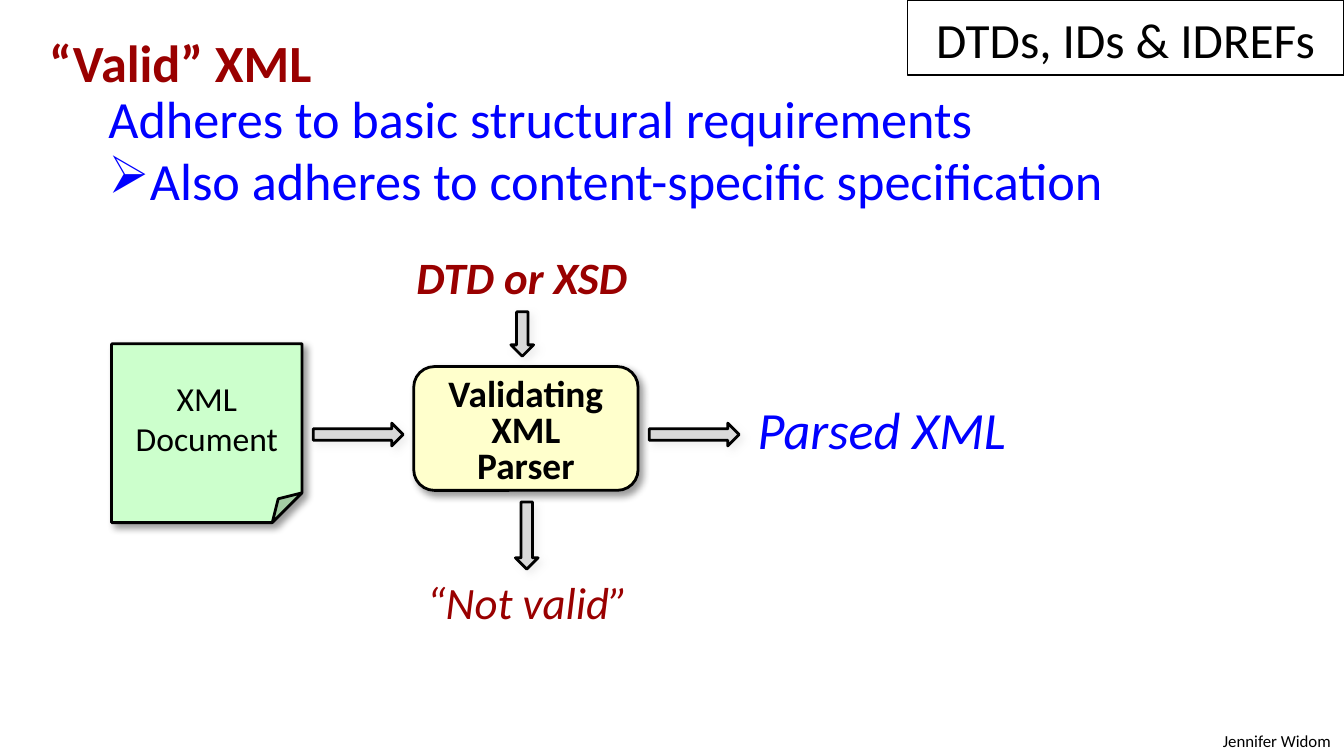
from lxml.etree import SubElement
from pptx import Presentation
from pptx.dml.color import RGBColor
from pptx.enum.shapes import MSO_SHAPE
from pptx.enum.text import MSO_ANCHOR, MSO_AUTO_SIZE, PP_ALIGN
from pptx.oxml.ns import qn
from pptx.util import Cm, Pt

FONT = "Calibri"
COLORS = {
    "black": "000000",
    "red": "990000",
    "blue": "0000FF",
    "green": "CCFFCC",
    "yellow": "FFFFCC",
    "gray": "D9D9D9",
}


def color(name):
    return RGBColor.from_string(COLORS[name])


def style(paragraph, size, ink="black", bold=False, italic=False, align=None, spacing=None):
    paragraph.alignment = align
    paragraph.line_spacing = spacing
    font = paragraph.font
    font.name, font.size = FONT, Pt(size)
    font.bold, font.italic = bold, italic
    font.color.rgb = color(ink)


def write(shape, lines, size, **options):
    frame = shape.text_frame
    frame.text = "\n".join(lines)
    for paragraph in frame.paragraphs:
        style(paragraph, size, **options)


def add_label(slide, box, text, size, **options):
    """Add a one-line text box that fits its text."""
    label = slide.shapes.add_textbox(*map(Cm, box))
    label.text_frame.word_wrap = False
    label.text_frame.auto_size = MSO_AUTO_SIZE.SHAPE_TO_FIT_TEXT
    write(label, [text], size, **options)


def add_shadow(shape, name):
    effects = shape._element.spPr.find(qn("a:effectLst"))
    shadow = SubElement(effects, qn("a:outerShdw"), blurRad=str(Pt(4)), dist=str(Pt(3)),
                        dir=str(45 * 60000), algn="tl", rotWithShape="0")
    tint = SubElement(shadow, qn("a:srgbClr"), val=COLORS[name])
    SubElement(tint, qn("a:alpha"), val="40000")


def add_block(slide, kind, box, fill=None, line_width=1.5, shadow=None):
    block = slide.shapes.add_shape(kind, *map(Cm, box))
    block.shadow.inherit = False
    if fill:
        block.fill.solid()
        block.fill.fore_color.rgb = color(fill)
    else:
        block.fill.background()
    block.line.color.rgb = color("black")
    block.line.width = Pt(line_width)
    if shadow:
        add_shadow(block, shadow)
    block.text_frame.word_wrap = True
    return block


def add_arrow(slide, left, top, length, rotation=0):
    arrow = add_block(slide, MSO_SHAPE.RIGHT_ARROW, (left, top, length, 0.43), "gray", shadow="gray")
    arrow.rotation = rotation


def add_points(slide, box):
    """Add the heading and its two indented points."""
    frame = slide.shapes.add_textbox(*map(Cm, box)).text_frame
    frame.word_wrap = True
    points = [
        ("“Valid” XML", 0, 0.76, "red"),
        ("Adheres to basic structural requirements", 1, 1.88, "blue"),
        ("Also adheres to content-specific specification", 1, 1.88, "blue"),
    ]
    frame.text = "\n".join(point[0] for point in points)
    for paragraph, (_, level, margin, ink) in zip(frame.paragraphs, points):
        paragraph.level = level
        properties = paragraph._p.get_or_add_pPr()
        properties.set("marL", str(Cm(margin)))
        properties.set("indent", str(Cm(-0.51)))
        style(paragraph, 28, ink, bold=level == 0, spacing=0.9)

    last = frame.paragraphs[-1]
    last.space_before = Pt(3)
    properties = last._p.get_or_add_pPr()
    bullet_color = SubElement(properties, qn("a:buClr"))
    SubElement(bullet_color, qn("a:srgbClr"), val=COLORS["blue"])
    SubElement(properties, qn("a:buChar"), char="➢")
    properties.append(properties.find(qn("a:defRPr")))


def add_diagram(slide, left, top):
    """Add the validation flow, with its top left corner at the given point."""
    def at(x, y, *size):
        return (left + x, top + y, *size)

    parser = add_block(slide, MSO_SHAPE.ROUNDED_RECTANGLE, at(5.71, 2.33, 4.24, 2.34),
                       "yellow", shadow="black")
    parser.text_frame.vertical_anchor = MSO_ANCHOR.TOP
    write(parser, ["Validating XML", "Parser"], 20, bold=True,
          align=PP_ALIGN.CENTER, spacing=0.8)

    document = add_block(slide, MSO_SHAPE.FOLDED_CORNER, at(0, 1.9, 3.6, 3.38),
                         "green", shadow="black")
    document.text_frame.vertical_anchor = MSO_ANCHOR.MIDDLE
    write(document, ["XML", "Document"], 18, align=PP_ALIGN.CENTER)

    for x, y, length, rotation in [(3.81, 3.4, 1.7, 0), (10.16, 3.4, 1.7, 0),
                                   (7.21, 5.31, 1.27, 90), (7.34, 1.5, 0.84, 90)]:
        add_arrow(slide, *at(x, y, length), rotation)

    add_label(slide, at(11.96, 2.79, 5.26, 1.45), "Parsed XML", 28, ink="blue", italic=True)
    add_label(slide, at(5.71, 6.14, 4.34, 1.27), "“Not valid”", 24, ink="red", italic=True)
    add_label(slide, at(5.51, 0, 4.52, 1.27), "DTD or XSD", 24, ink="red", bold=True, italic=True)


def add_topic(slide, box):
    topic = add_block(slide, MSO_SHAPE.RECTANGLE, box, line_width=0.75)
    topic.text_frame.vertical_anchor = MSO_ANCHOR.BOTTOM
    write(topic, ["DTDs, IDs & IDREFs"], 26.4, align=PP_ALIGN.CENTER)


def main():
    presentation = Presentation()
    presentation.slide_width, presentation.slide_height = Cm(25.4), Cm(14.29)
    slide = presentation.slides.add_slide(presentation.slide_layouts[6])
    add_label(slide, (22.66, 13.69, 2.74, 0.63), "Jennifer Widom", 9, align=PP_ALIGN.RIGHT)
    add_points(slide, (0.43, 0.58, 23.06, 12.65))
    add_diagram(slide, 2.11, 4.6)
    add_topic(slide, (17.15, 0, 8.25, 1.42))
    presentation.save("out.pptx")


if __name__ == "__main__":
    main()
